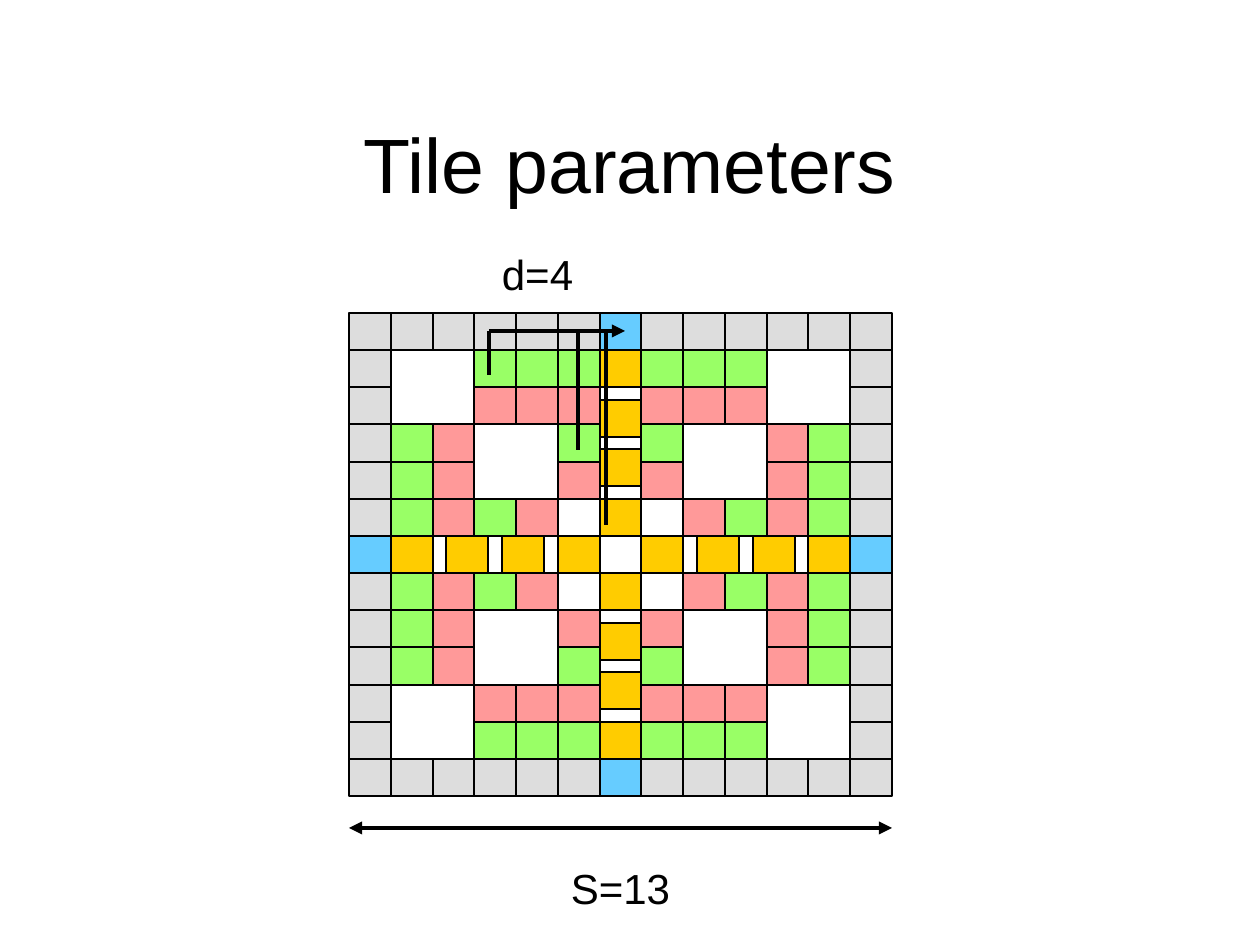
from lxml.etree import SubElement
from pptx import Presentation
from pptx.dml.color import RGBColor
from pptx.enum.shapes import MSO_CONNECTOR, MSO_SHAPE
from pptx.enum.text import MSO_ANCHOR, PP_ALIGN
from pptx.oxml.ns import qn
from pptx.util import Emu, Pt

PX_PER_INCH = 126
BLACK = RGBColor(0x00, 0x00, 0x00)
GRAY = RGBColor(0xDD, 0xDD, 0xDD)
GREEN = RGBColor(0x99, 0xFF, 0x66)
RED = RGBColor(0xFF, 0x99, 0x99)
BLUE = RGBColor(0x66, 0xCC, 0xFF)
ORANGE = RGBColor(0xFF, 0xCC, 0x00)

CELLS = 13
MIDDLE = CELLS // 2
GRID_LEFT, GRID_TOP = 349, 313
GRID_WIDTH, GRID_HEIGHT = 543, 483

CELL_COLORS = {"x": GRAY, "g": GREEN, "r": RED, "b": BLUE}
# Upper left quarter, with the middle row and column; the rest mirrors it.
QUARTER = [
    "xxxxxxb",
    "x..ggg.",
    "x..rrr.",
    "xgr..g.",
    "xgr..r.",
    "xgrgr..",
    "b......",
]


def px(length):
    return Emu(round(length * 914400 / PX_PER_INCH))


def mirrored(items):
    return list(items) + list(items[-2::-1])


class SlideBuilder:
    font = "Arial"

    def __init__(self, slide):
        self.slide = slide

    def cell(self, column, row, color):
        """Draw one grid cell; column and row may be fractions."""
        left = GRID_LEFT + round(column * GRID_WIDTH / CELLS)
        right = GRID_LEFT + round((column + 1) * GRID_WIDTH / CELLS)
        top = GRID_TOP + round(row * GRID_HEIGHT / CELLS)
        bottom = GRID_TOP + round((row + 1) * GRID_HEIGHT / CELLS)
        shape = self.slide.shapes.add_shape(
            MSO_SHAPE.RECTANGLE, px(left), px(top), px(right - left), px(bottom - top))
        shape.shadow.inherit = False
        shape.fill.solid()
        shape.fill.fore_color.rgb = color
        shape.line.color.rgb = BLACK
        shape.line.width = Pt(0.75)

    def line(self, x1, y1, x2, y2, arrows=()):
        """Draw a line; arrows names its pointed ends, headEnd before tailEnd."""
        connector = self.slide.shapes.add_connector(
            MSO_CONNECTOR.STRAIGHT, px(x1), px(y1), px(x2), px(y2))
        connector.line.color.rgb = BLACK
        connector.line.width = Pt(2.5)
        for end in arrows:
            SubElement(connector.line._get_or_add_ln(), qn(f"a:{end}"), type="triangle")
        SubElement(connector._element.spPr, qn("a:effectLst"))

    def text(self, words, left, top, width, height, size, anchor=MSO_ANCHOR.TOP):
        box = self.slide.shapes.add_textbox(px(left), px(top), px(width), px(height))
        frame = box.text_frame
        frame.word_wrap = True
        frame.vertical_anchor = anchor
        para = frame.paragraphs[0]
        para.alignment = PP_ALIGN.CENTER
        span = para.add_run()
        span.text = words
        span.font.name = self.font
        span.font.size = Pt(size)
        span.font.color.rgb = BLACK


def draw_tile(page):
    for row, codes in enumerate(mirrored(QUARTER)):
        for column, code in enumerate(mirrored(codes)):
            if code in CELL_COLORS:
                page.cell(column, row, CELL_COLORS[code])

    # Each arm of the cross spreads four cells evenly over five places.
    for start in (1, MIDDLE + 1):
        for step in range(4):
            place = start + step * 4 / 3
            page.cell(MIDDLE, place, ORANGE)
            page.cell(place, MIDDLE, ORANGE)


def main():
    deck = Presentation()
    deck.slide_width, deck.slide_height = px(1260), px(945)
    page = SlideBuilder(deck.slides.add_slide(deck.slide_layouts[6]))

    page.text("Tile parameters", 94, 84, 1071, 158, 44, MSO_ANCHOR.MIDDLE)
    draw_tile(page)

    page.line(GRID_LEFT, 828, GRID_LEFT + GRID_WIDTH, 828, ("headEnd", "tailEnd"))
    page.text("S=13", 516, 856, 209, 63, 24)

    page.line(489, 331, 625, 331, ("tailEnd",))
    for x, bottom in ((489, 375), (578, 450), (606, 525)):
        page.line(x, bottom, x, 331)
    page.text("d=4", 433, 242, 209, 63, 24)

    deck.save("out.pptx")


if __name__ == "__main__":
    main()
